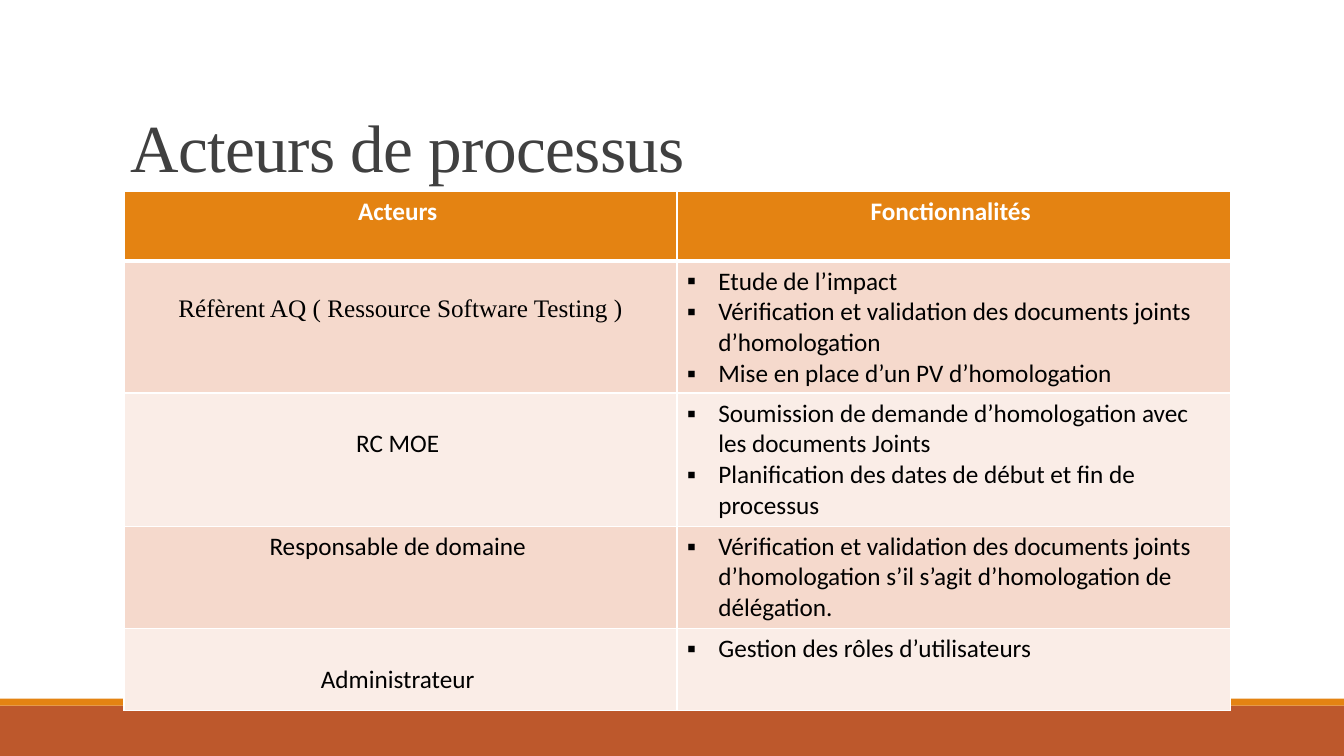
from dataclasses import dataclass

from lxml.etree import SubElement
from pptx import Presentation
from pptx.dml.color import RGBColor
from pptx.enum.shapes import MSO_CONNECTOR as Line, MSO_SHAPE as Shape
from pptx.enum.text import MSO_ANCHOR as Anchor, PP_ALIGN as Align
from pptx.oxml.ns import qn
from pptx.util import Inches, Pt


@dataclass(frozen=True)
class Theme:
    orange: str = "E48312"
    rust: str = "BD582C"
    rule: str = "808080"
    title: str = "404040"
    text: str = "000000"
    white: str = "FFFFFF"
    bands: tuple = ("F5D9CC", "FAEDE7")
    sans: str = "Calibri"
    serif: str = "Times New Roman"
    title_size: int = 48
    body_size: int = 18


class Deck:
    def __init__(self, theme):
        self.theme = theme
        self.prs = Presentation()
        self.prs.slide_width = Inches(13.33)
        self.prs.slide_height = Inches(7.5)
        self.s = self.prs.slides.add_slide(self.prs.slide_layouts[6])

    def x(self, percent):
        return round(self.prs.slide_width * percent / 100)

    def y(self, percent):
        return round(self.prs.slide_height * percent / 100)

    def box(self, left, top, width, height):
        return self.x(left), self.y(top), self.x(width), self.y(height)

    def bar(self, area, color):
        sp = self.s.shapes.add_shape(Shape.RECTANGLE, *self.box(*area))
        sp.shadow.inherit = False
        sp.fill.solid()
        sp.fill.fore_color.rgb = RGBColor.from_string(color)
        sp.line.fill.background()

    def rule(self, left, right, top):
        y = self.y(top)
        line = self.s.shapes.add_connector(Line.STRAIGHT, self.x(left), y, self.x(right), y)
        line.line.color.rgb = RGBColor.from_string(self.theme.rule)
        line.line.width = Pt(0.5)
        SubElement(line._element.spPr, qn("a:effectLst"))

    def run(self, p, text, font, size, color, bold=False):
        r = p.add_run()
        r.text = text
        r.font.name = font
        r.font.size = Pt(size)
        r.font.bold = bold
        r.font.color.rgb = RGBColor.from_string(color)
        return r

    def title(self, area, text):
        t = self.theme
        tf = self.s.shapes.add_textbox(*self.box(*area)).text_frame
        tf.word_wrap = True
        tf.vertical_anchor = Anchor.BOTTOM
        p = tf.paragraphs[0]
        p.line_spacing = 0.85
        r = self.run(p, text, t.serif, t.title_size, t.title)
        r.font._element.set("spc", "-50")

    def bullet(self, p):
        pPr = p._p.get_or_add_pPr()
        pPr.set("marL", str(Inches(0.31)))
        pPr.set("indent", str(-Inches(0.31)))
        SubElement(pPr, qn("a:buFont"), typeface="Wingdings")
        SubElement(pPr, qn("a:buChar"), char="▪")
        pPr[0].set("typeface", self.theme.sans)

    def cell(self, cell, fill, top_line=1, bottom_line=1):
        tcPr = cell._tc.get_or_add_tcPr()
        for side, width in zip("LRTB", (1, 1, top_line, bottom_line)):
            ln = SubElement(tcPr, qn(f"a:ln{side}"), w=str(Pt(width)))
            SubElement(SubElement(ln, qn("a:solidFill")), qn("a:srgbClr"), val=self.theme.white)
        cell.fill.solid()
        cell.fill.fore_color.rgb = RGBColor.from_string(fill)

    def table(self, left, top, width, heights, header, actors):
        t = self.theme
        area = self.box(left, top, width, sum(heights))
        table = self.s.shapes.add_table(len(heights), len(header), *area).table
        table.first_row = table.horz_banding = False
        for row, height in zip(table.rows, heights):
            row.height = self.y(height)
        for cell, text in zip(table.rows[0].cells, header):
            self.cell(cell, t.orange, bottom_line=3)
            p = cell.text_frame.paragraphs[0]
            p.alignment = Align.CENTER
            self.run(p, text, t.sans, t.body_size, t.white, True)
        for i, (actor, font, drop, tasks) in enumerate(actors):
            name, duties = table.rows[i + 1].cells
            for cell in (name, duties):
                self.cell(cell, t.bands[i % 2], top_line=1 if i else 3)
            name.margin_top = self.y(drop)
            p = name.text_frame.paragraphs[0]
            p.alignment = Align.CENTER
            self.run(p, actor, font, t.body_size, t.text)
            tf = duties.text_frame
            for j, task in enumerate(tasks):
                p = tf.add_paragraph() if j else tf.paragraphs[0]
                self.bullet(p)
                self.run(p, task, t.sans, t.body_size, t.text)


def main():
    theme = Theme()
    deck = Deck(theme)
    deck.bar((0, 93.33, 100, 6.67), theme.rust)
    deck.bar((0, 92.4, 100, 0.93), theme.orange)
    deck.rule(9.83, 91.6, 25.33)
    deck.title((9, 4.13, 82.5, 21.2), "Acteurs de processus")
    actors = [
        ("Réfèrent AQ ( Ressource Software Testing )", theme.serif, 4.5, [
            "Etude de l’impact",
            "Vérification et validation des documents joints d’homologation",
            "Mise en place d’un PV d’homologation",
        ]),
        ("RC MOE ", theme.sans, 4.73, [
            "Soumission de demande d’homologation avec les documents Joints",
            "Planification des dates de début et fin de processus",
        ]),
        ("Responsable de domaine ", theme.sans, 0.67, [
            "Vérification et validation des documents joints d’homologation "
            "s’il s’agit d’homologation de délégation.",
        ]),
        ("Administrateur ", theme.sans, 4.73, ["Gestion des rôles d’utilisateurs"]),
    ]
    deck.table(9.23, 25.33, 82.3, (9.2, 17.47, 17.6, 13.6, 10.8),
               ("Acteurs ", "Fonctionnalités "), actors)
    deck.prs.save("out.pptx")


if __name__ == "__main__":
    main()
